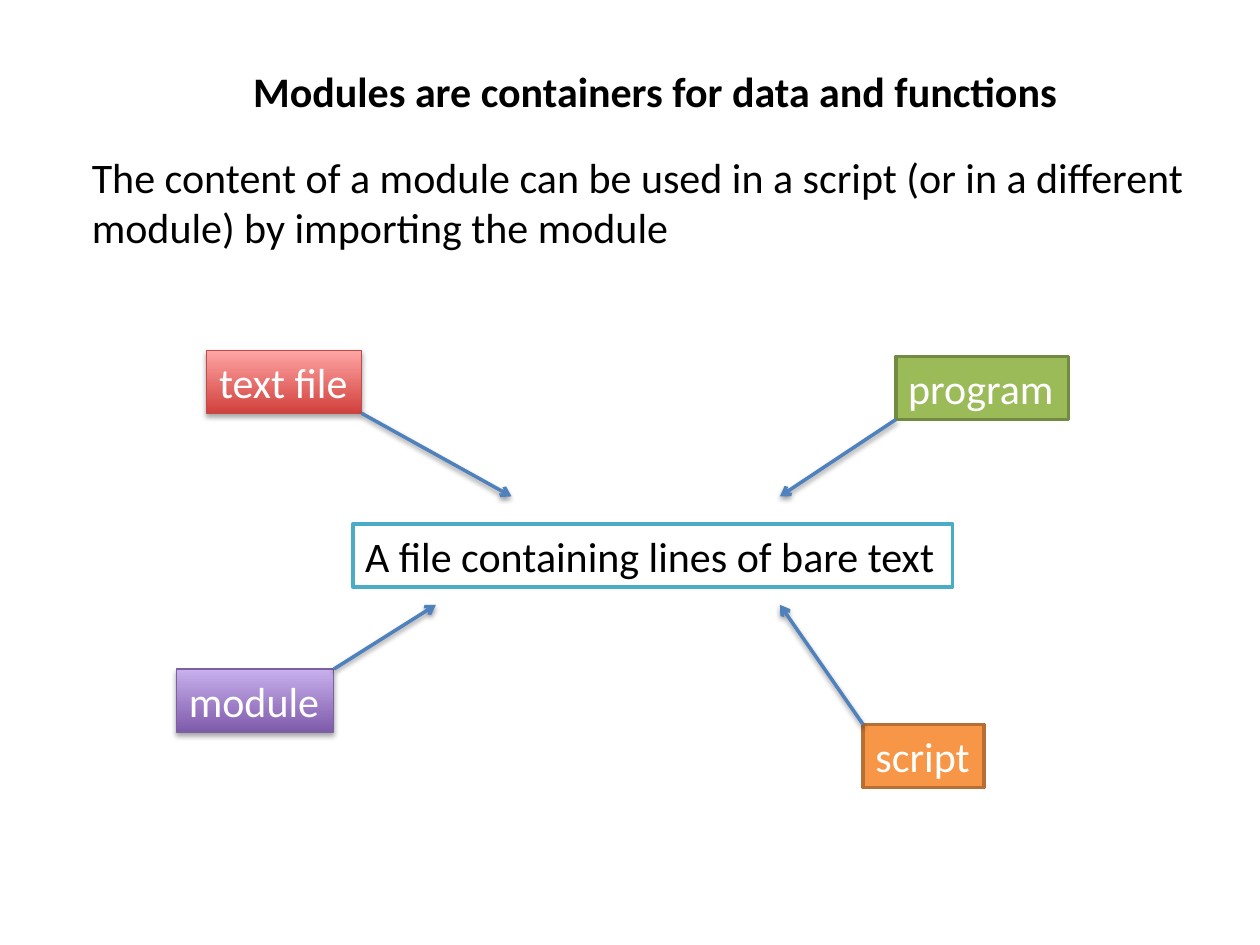
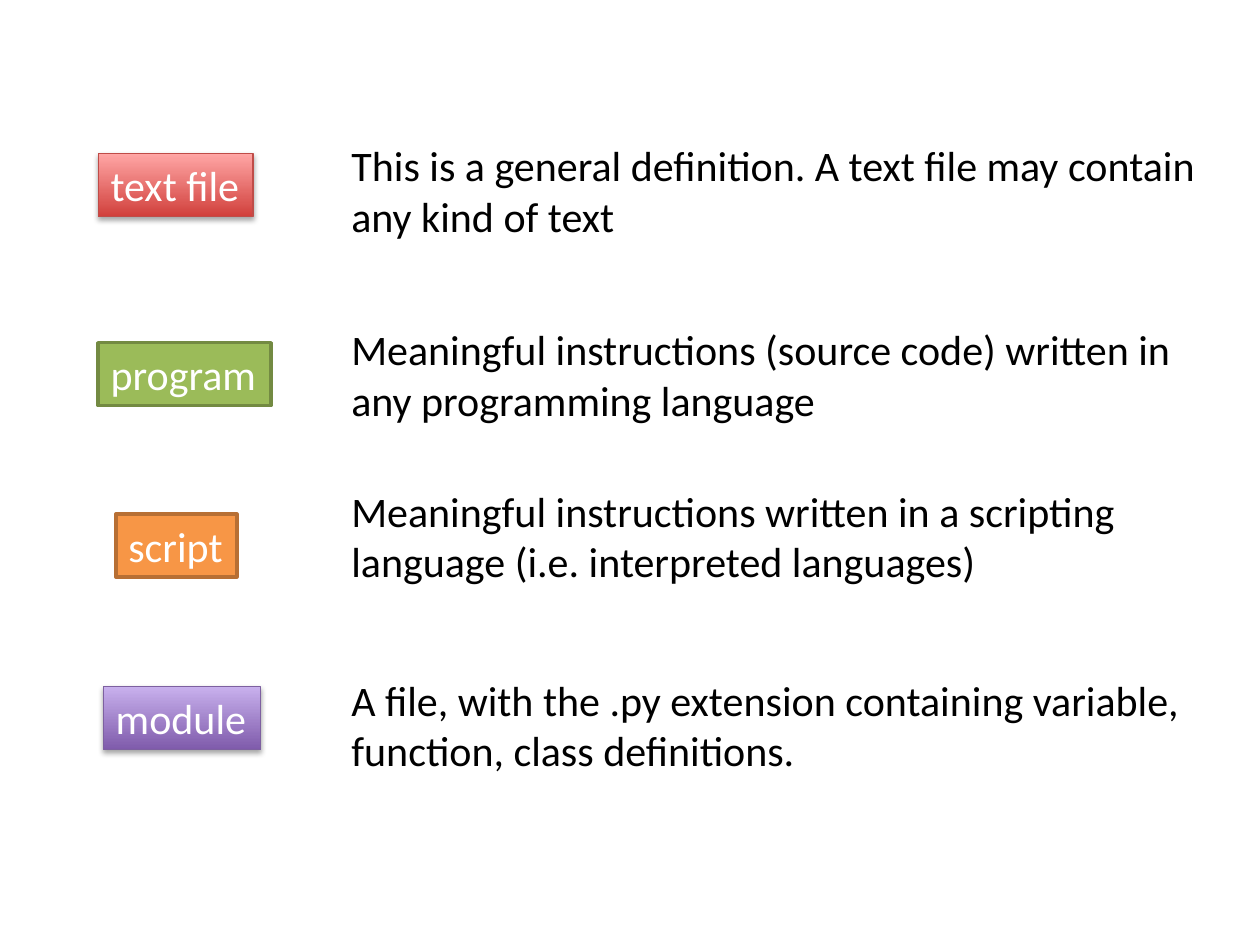
from dataclasses import dataclass
from typing import NamedTuple, Optional

from lxml.etree import SubElement
from pptx import Presentation
from pptx.dml.color import RGBColor
from pptx.enum.shapes import MSO_CONNECTOR, MSO_SHAPE
from pptx.enum.text import MSO_ANCHOR, MSO_AUTO_SIZE, PP_ALIGN
from pptx.oxml.ns import qn
from pptx.util import Emu, Pt

PX = 9144  # 100 px to the inch


@dataclass(frozen=True)
class Theme:
    font: str = "Calibri"
    size: int = 24
    text: str = "000000"
    light_text: str = "FFFFFF"
    arrow: str = "4F81BD"
    line_width: float = 2
    thin_line: float = 0.75
    box_height: int = 50
    paragraph_height: int = 91


class Shadow(NamedTuple):
    opacity: int
    distance: float
    blur: float = 3.1


class BoxStyle(NamedTuple):
    fill: tuple[str, ...]  # one colour, or bottom and top of a gradient
    line: str
    width: int
    text_colour: str
    line_width: float = Theme.line_width
    shadow: Optional[Shadow] = None


class Arrow(NamedTuple):
    """Runs from a corner of a box, given as fractions of its size."""
    label: str
    corner: tuple[int, int]
    end: tuple[int, int]


class Definition(NamedTuple):
    label: str
    box_at: tuple[int, int]
    text_top: int
    text_width: int
    text: str


THEME = Theme()
BOX_SHADOW = Shadow(35, 1.8)
ARROW_SHADOW = Shadow(38, 1.6)
SUMMARY = "A file containing lines of bare text"

STYLES = {
    "text file": BoxStyle(("D1403C", "FFA6A5"), "BF4C48", 123, THEME.light_text,
                          THEME.thin_line, BOX_SHADOW),
    "program": BoxStyle(("9BBB59",), "738A42", 137, THEME.light_text),
    "script": BoxStyle(("F79646",), "B76F34", 96, THEME.light_text),
    "module": BoxStyle(("7F5BAB", "C8B0ED"), "7D60A0", 125, THEME.light_text,
                       THEME.thin_line, BOX_SHADOW),
    SUMMARY: BoxStyle(("FFFFFF",), "4BACC6", 476, THEME.text),
}

DIAGRAM = {
    "module": (140, 531),
    "program": (711, 283),
    "script": (685, 575),
    "text file": (164, 278),
    SUMMARY: (280, 416),
}

ARROWS = [
    Arrow("text file", (1, 1), (406, 394)),
    Arrow("program", (0, 1), (619, 394)),
    Arrow("module", (1, 0), (346, 480)),
    Arrow("script", (0, 0), (619, 480)),
]

DEFINITION_LEFT = 269
DEFINITIONS = [
    Definition("text file", (78, 122), 106, 702,
               "This is a general definition. A text file may contain any kind of text"),
    Definition("program", (78, 272), 252, 683,
               "Meaningful instructions (source code) written in any programming language"),
    Definition("script", (92, 408), 380, 683,
               "Meaningful instructions written in a scripting language "
               "(i.e. interpreted languages)"),
    Definition("module", (82, 545), 530, 702,
               "A file, with the .py extension containing variable, "
               "function, class definitions."),
]


def px(*lengths: int) -> list[Emu]:
    return [Emu(length * PX) for length in lengths]


def rgb(colour: str) -> RGBColor:
    return RGBColor.from_string(colour)


def set_effects(shape, shadow: Optional[Shadow]) -> None:
    """Replace the theme effects; call once fill and line are set."""
    effects = SubElement(shape._element.spPr, qn("a:effectLst"))
    if shadow:
        outer = SubElement(effects, qn("a:outerShdw"), blurRad=str(Pt(shadow.blur)),
                           dist=str(Pt(shadow.distance)), dir="5400000",
                           rotWithShape="0")
        colour = SubElement(outer, qn("a:srgbClr"), val="000000")
        SubElement(colour, qn("a:alpha"), val=str(shadow.opacity * 1000))


def set_text(shape, text: str, colour: str, wrap: bool = False,
             bold: bool = False) -> None:
    tf = shape.text_frame
    tf.word_wrap = wrap
    tf.auto_size = MSO_AUTO_SIZE.SHAPE_TO_FIT_TEXT
    tf.vertical_anchor = MSO_ANCHOR.TOP
    p = tf.paragraphs[0]
    p.text = text
    p.alignment = PP_ALIGN.LEFT
    p.font.name = THEME.font
    p.font.size = Pt(THEME.size)
    p.font.bold = bold
    p.font.color.rgb = rgb(colour)


def add_text(s, left: int, top: int, width: int, height: int, text: str,
             wrap: bool = True, bold: bool = False) -> None:
    tb = s.shapes.add_textbox(*px(left, top, width, height))
    set_text(tb, text, THEME.text, wrap, bold)


def add_box(s, label: str, at: tuple[int, int]) -> None:
    style = STYLES[label]
    sp = s.shapes.add_shape(MSO_SHAPE.RECTANGLE,
                            *px(*at, style.width, THEME.box_height))
    if len(style.fill) == 1:
        sp.fill.solid()
        sp.fill.fore_color.rgb = rgb(style.fill[0])
    else:
        sp.fill.gradient()
        sp.fill.gradient_angle = 90
        for stop, colour in zip(sp.fill.gradient_stops, style.fill):
            stop.color.rgb = rgb(colour)
    sp.line.color.rgb = rgb(style.line)
    sp.line.width = Pt(style.line_width)
    set_effects(sp, style.shadow)
    set_text(sp, label, style.text_colour)


def add_arrow(s, arrow: Arrow) -> None:
    left, top = DIAGRAM[arrow.label]
    across, down = arrow.corner
    start = (left + across * STYLES[arrow.label].width,
             top + down * THEME.box_height)
    line = s.shapes.add_connector(MSO_CONNECTOR.STRAIGHT, *px(*start, *arrow.end))
    line.line.color.rgb = rgb(THEME.arrow)
    line.line.width = Pt(THEME.line_width)
    SubElement(line.line._get_or_add_ln(), qn("a:tailEnd"), type="arrow")
    set_effects(line, ARROW_SHADOW)


def build_diagram(s) -> None:
    add_text(s, 191, 47, 659, 50, "Modules are containers for data and functions",
             wrap=False, bold=True)
    add_text(s, 63, 115, 911, THEME.paragraph_height,
             "The content of a module can be used in a script "
             "(or in a different module) by importing the module")
    for label, at in DIAGRAM.items():
        add_box(s, label, at)
    for arrow in ARROWS:
        add_arrow(s, arrow)


def build_definitions(s) -> None:
    for d in DEFINITIONS:
        add_box(s, d.label, d.box_at)
        add_text(s, DEFINITION_LEFT, d.text_top, d.text_width,
                 THEME.paragraph_height, d.text)


def main() -> None:
    prs = Presentation()
    prs.slide_width, prs.slide_height = px(1000, 750)
    blank = prs.slide_layouts[6]
    for build in (build_diagram, build_definitions):
        build(prs.slides.add_slide(blank))
    prs.save("out.pptx")


if __name__ == "__main__":
    main()
